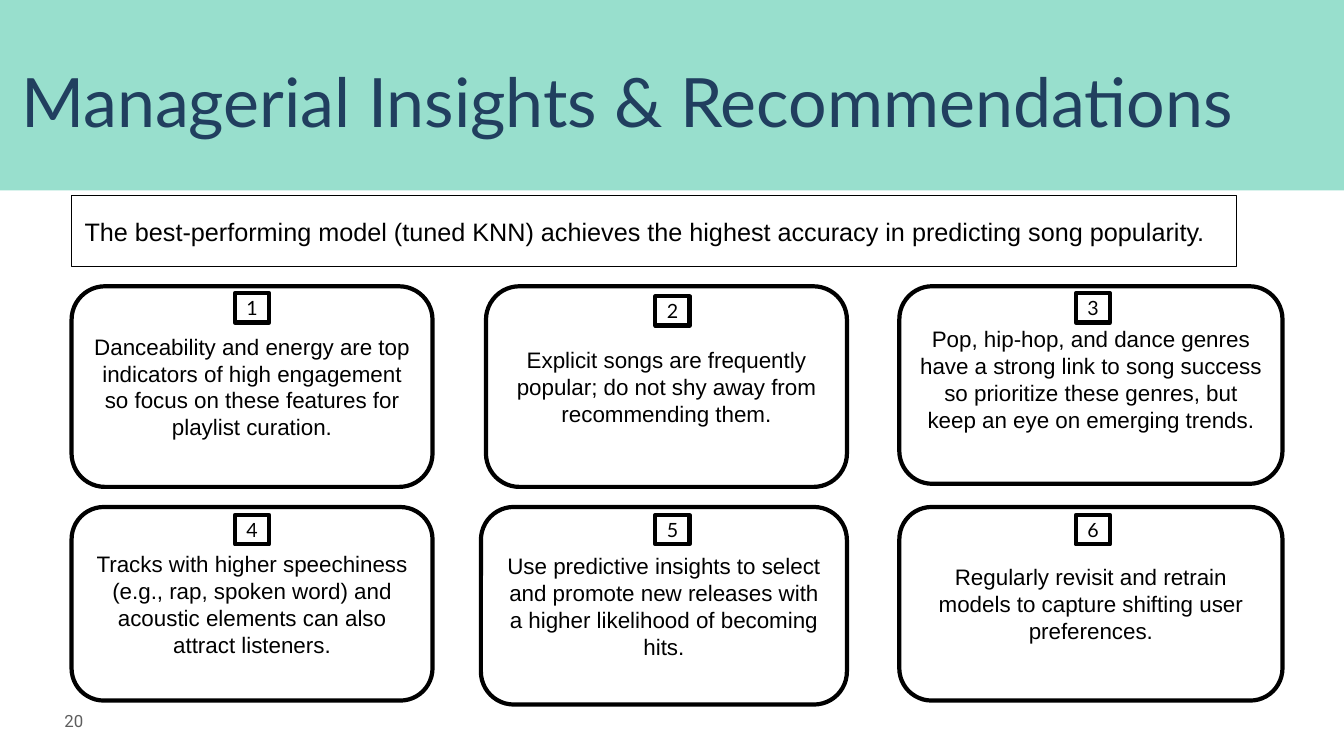
"""Build the managerial insights and recommendations slide."""
from dataclasses import dataclass

import pptx
import pptx.dml.color
import pptx.enum.shapes
import pptx.enum.text
import pptx.util

Inches = pptx.util.Inches
Pt = pptx.util.Pt
SHAPE = pptx.enum.shapes.MSO_SHAPE
ALIGN = pptx.enum.text.PP_ALIGN
ANCHOR = pptx.enum.text.MSO_ANCHOR

BLACK = "000000"
BADGE_WIDTH, BADGE_HEIGHT = 0.34, 0.29
BADGE_LEFTS = (2.33, 6.5, 10.67)


@dataclass
class Card:
    text: str
    left: float
    top: float
    width: float
    height: float
    badge_top: float
    bottom_inset: float = 0.1


CARDS = [
    Card("Danceability and energy are top indicators of high engagement so focus "
         "on these features for playlist curation.", 0.71, 2.84, 3.58, 1.99, 2.91),
    Card("Explicit songs are frequently popular; do not shy away from "
         "recommending them.", 4.82, 2.84, 3.58, 1.99, 2.94),
    Card("Pop, hip-hop, and dance genres have a strong link to song success so "
         "prioritize these genres, but keep an eye on emerging trends.",
         8.92, 2.84, 3.8, 1.96, 2.91, 0.22),
    Card("Tracks with higher speechiness (e.g., rap, spoken word) and acoustic "
         "elements can also attract listeners.", 0.71, 5.03, 3.58, 1.92, 5.11),
    Card("Use predictive insights to select and promote new releases with a higher "
         "likelihood of becoming hits.", 4.77, 5.03, 3.63, 1.96, 5.11),
    Card("Regularly revisit and retrain models to capture shifting user "
         "preferences.", 8.92, 5.03, 3.8, 1.92, 5.11),
]


def rgb(value: str) -> pptx.dml.color.RGBColor:
    return pptx.dml.color.RGBColor.from_string(value)


def box(left: float, top: float, width: float, height: float) -> tuple:
    return Inches(left), Inches(top), Inches(width), Inches(height)


def write(sp, text: str, font: str, size: float, color: str = BLACK,
          align=ALIGN.LEFT, inset: float = 0.1, bottom: float = 0.1):
    tf = sp.text_frame
    tf.word_wrap = True
    tf.auto_size = pptx.enum.text.MSO_AUTO_SIZE.NONE
    tf.vertical_anchor = ANCHOR.MIDDLE
    tf.margin_left = tf.margin_right = Inches(0.1)
    tf.margin_top, tf.margin_bottom = Inches(inset), Inches(bottom)
    tf.text = text
    p = tf.paragraphs[0]
    p.alignment = align
    p.font.name = font
    p.font.size = Pt(size)
    p.font.color.rgb = rgb(color)
    return p


def add_outline(slide, kind, bounds: tuple, weight: float):
    sp = slide.shapes.add_shape(kind, *bounds)
    sp.shadow.inherit = False
    sp.fill.background()
    sp.line.color.rgb = rgb(BLACK)
    sp.line.width = Pt(weight)
    return sp


def add_header(slide) -> None:
    band = slide.shapes.add_shape(SHAPE.RECTANGLE, *box(0, 0, 13.33, 1.89))
    band.shadow.inherit = False
    band.fill.solid()
    band.fill.fore_color.rgb = rgb("98DFCD")
    band.line.fill.background()
    title = slide.shapes.title
    title._element.addprevious(band._element)
    title.left, title.top, title.width, title.height = box(0.11, 0.42, 13.33, 1.25)
    p = write(title, "Managerial Insights & Recommendations", "Lato", 48.6, "213F5F",
              inset=0.05, bottom=0.05)
    p.line_spacing = 0.9


def add_card(slide, card: Card) -> None:
    sp = add_outline(slide, SHAPE.ROUNDED_RECTANGLE,
                     box(card.left, card.top, card.width, card.height), 3)
    write(sp, card.text, "Arial", 16, align=ALIGN.CENTER, bottom=card.bottom_inset)


def add_badge(slide, index: int, card: Card) -> None:
    left = BADGE_LEFTS[index % len(BADGE_LEFTS)]
    sp = add_outline(slide, SHAPE.RECTANGLE,
                     box(left, card.badge_top, BADGE_WIDTH, BADGE_HEIGHT), 3)
    write(sp, str(index + 1), "Lato", 14, align=ALIGN.CENTER)


def main() -> None:
    prs = pptx.Presentation()
    prs.slide_width, prs.slide_height = Inches(13.33), Inches(7.5)
    slide = prs.slides.add_slide(prs.slide_layouts[5])
    add_header(slide)

    number = slide.shapes.add_textbox(*box(0.54, 6.95, 1.21, 0.4))
    write(number, "20", "Roboto", 12, "5E5E5E", inset=0.05, bottom=0.05)

    add_outline(slide, SHAPE.RECTANGLE, box(0.71, 1.94, 11.55, 0.7), 0.75)
    finding = slide.shapes.add_textbox(*box(0.74, 2.05, 11.69, 0.5))
    write(finding, "The best-performing model (tuned KNN) achieves the highest "
          "accuracy in predicting song popularity.", "Arial", 18)

    for card in CARDS:
        add_card(slide, card)
    for index, card in enumerate(CARDS):
        add_badge(slide, index, card)
    prs.save("out.pptx")


if __name__ == "__main__":
    main()
